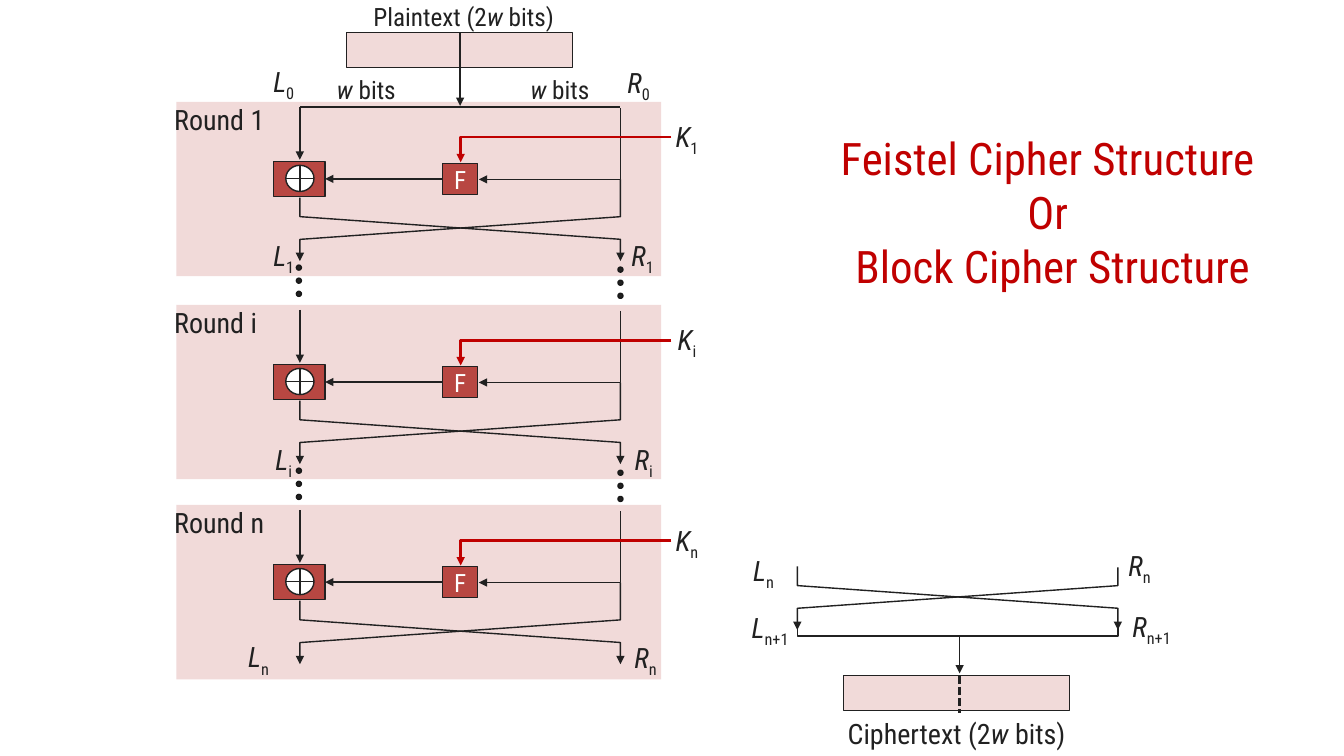
from dataclasses import dataclass
from typing import NamedTuple, Optional

from lxml.etree import SubElement
from pptx import Presentation
from pptx.dml.color import RGBColor
from pptx.enum.dml import MSO_LINE
from pptx.enum.shapes import MSO_CONNECTOR, MSO_SHAPE
from pptx.enum.text import MSO_ANCHOR, MSO_AUTO_SIZE, PP_ALIGN
from pptx.oxml.ns import qn
from pptx.util import Emu, Inches, Pt


@dataclass(frozen=True)
class Theme:
    font: str = "Roboto Condensed"
    ink: str = "212121"
    dot_edge: str = "181818"
    panel: str = "F1DAD9"
    block: str = "B84742"
    key: str = "C00000"
    white: str = "FFFFFF"
    small: int = 18
    body: int = 20
    title: int = 32


class Area(NamedTuple):
    column: float
    row: float
    columns: float
    rows: float


class Point(NamedTuple):
    column: float
    row: float


class Span(NamedTuple):
    text: str
    italic: bool = False
    subscript: bool = False


class Label(NamedTuple):
    wording: list[Span]
    area: Area
    size: int
    align: PP_ALIGN = PP_ALIGN.CENTER


class Round(NamedTuple):
    index: str
    top: float
    left_label: Point
    right_label: Point
    dotted: bool = True


THEME = Theme()
COLUMNS, ROWS = 133.33, 75
LEFT, CENTRE, RIGHT = 29.75, 45.65, 61.55
FINAL_LEFT, FINAL_CENTRE, FINAL_RIGHT = 79.1, 95.2, 110.9
DOT_GAP = 1.3

deck = Presentation()
deck.slide_width, deck.slide_height = Inches(13.33), Inches(7.5)
slide = deck.slides.add_slide(deck.slide_layouts[6])


def across(columns: float) -> Emu:
    return Emu(round(deck.slide_width * columns / COLUMNS))


def down(rows: float) -> Emu:
    return Emu(round(deck.slide_height * rows / ROWS))


def place(area: Area) -> tuple[Emu, Emu, Emu, Emu]:
    return across(area.column), down(area.row), across(area.columns), down(area.rows)


def write(paragraph, text: str, *, size: int, colour: str = THEME.ink,
          italic: bool = False, subscript: bool = False) -> None:
    run = paragraph.add_run()
    run.text = text
    run.font.name = THEME.font
    run.font.size = Pt(size)
    run.font.italic = italic
    run.font.color.rgb = RGBColor.from_string(colour)
    if subscript:
        run.font._element.set("baseline", "-25000")


def draw_label(label: Label) -> None:
    frame = slide.shapes.add_textbox(*place(label.area)).text_frame
    frame.word_wrap = True
    frame.auto_size = MSO_AUTO_SIZE.SHAPE_TO_FIT_TEXT
    paragraph = frame.paragraphs[0]
    paragraph.alignment = label.align
    for span in label.wording:
        write(paragraph, span.text, size=label.size,
              italic=span.italic, subscript=span.subscript)


def draw_symbol(letter: str, index: str, area: Area) -> None:
    draw_label(Label([Span(letter, italic=True), Span(index, subscript=True)],
                     area, THEME.body))


def draw_shape(kind: MSO_SHAPE, area: Area, fill: str,
               edge: Optional[str] = THEME.ink):
    shape = slide.shapes.add_shape(kind, *place(area))
    shape.shadow.inherit = False
    shape.fill.solid()
    shape.fill.fore_color.rgb = RGBColor.from_string(fill)
    if edge:
        shape.line.color.rgb = RGBColor.from_string(edge)
        shape.line.width = Pt(1)
    else:
        shape.line.fill.background()
    return shape


def style_line(drawn, colour: str, width: float, arrow: bool) -> None:
    drawn.line.color.rgb = RGBColor.from_string(colour)
    drawn.line.width = Pt(width)
    if arrow:
        SubElement(drawn._element.spPr.find(qn("a:ln")), qn("a:tailEnd"), type="triangle")


def draw_line(start: Point, end: Point, arrow: bool = True, width: float = 1):
    line = slide.shapes.add_connector(
        MSO_CONNECTOR.STRAIGHT, across(start.column), down(start.row),
        across(end.column), down(end.row))
    style_line(line, THEME.ink, width, arrow)
    SubElement(line._element.spPr, qn("a:effectLst"))
    return line


def draw_bent(points: list[Point], colour: str = THEME.ink,
              width: float = 1, arrow: bool = True) -> None:
    corners = [(across(point.column), down(point.row)) for point in points]
    builder = slide.shapes.build_freeform(*corners[0], scale=1.0)
    builder.add_line_segments(corners[1:], close=False)
    bent = builder.convert_to_shape()
    bent.shadow.inherit = False
    bent.fill.background()
    style_line(bent, colour, width, arrow)


def draw_swap(left: float, right: float, left_start: float,
              right_start: float, bend: float) -> None:
    for start, near, far in ((right_start, right, left), (left_start, left, right)):
        draw_bent([Point(near, start), Point(near, bend),
                   Point(far, bend + 2.25), Point(far, bend + 4.4)])


def draw_round(item: Round) -> None:
    top = item.top
    draw_shape(MSO_SHAPE.RECTANGLE, Area(17.5, top, 48.1, 17.3), THEME.panel, None)
    draw_label(Label([Span(f"Round {item.index}")], Area(16.3, top - 0.4, 12.2, 4.4),
                     THEME.body, PP_ALIGN.LEFT))
    draw_bent([Point(RIGHT, top + 0.6), Point(RIGHT, top + 7.7), Point(47.5, top + 7.7)])
    draw_line(Point(LEFT, top + 0.5), Point(LEFT, top + 5.75))
    draw_shape(MSO_SHAPE.RECTANGLE, Area(LEFT - 2.6, top + 5.9, 5.1, 3.5), THEME.block)
    draw_shape(MSO_SHAPE.FLOWCHART_OR, Area(LEFT - 1.4, top + 6.3, 2.8, 2.6), THEME.white)
    function = draw_shape(MSO_SHAPE.RECTANGLE, Area(43.9, top + 6.1, 3.5, 3.1), THEME.block)
    function.text_frame.vertical_anchor = MSO_ANCHOR.MIDDLE
    letter = function.text_frame.paragraphs[0]
    letter.alignment = PP_ALIGN.CENTER
    write(letter, "F", size=THEME.small, colour=THEME.white)
    draw_line(Point(43.9, top + 7.65), Point(32.25, top + 7.65))
    draw_swap(LEFT, RIGHT, top + 9.5, top + 7.7, top + 11.4)
    draw_symbol("K", item.index, Area(65.6, top + 1.3, 5.1, 4.4))
    draw_bent([Point(66.6, top + 3.5), Point(45.7, top + 3.5), Point(45.7, top + 6)],
              THEME.key, 2)
    draw_symbol("L", item.index, Area(*item.left_label, 4.5, 4.4))
    draw_symbol("R", item.index, Area(*item.right_label, 4.5, 4.4))
    if item.dotted:
        for column, first in ((61.3, top + 16.4), (29.4, top + 16.2)):
            for step in range(3):
                draw_shape(MSO_SHAPE.OVAL, Area(column, first + step * DOT_GAP, 0.5, 0.5),
                           THEME.ink, THEME.dot_edge)


def draw_plaintext() -> None:
    draw_shape(MSO_SHAPE.RECTANGLE, Area(34.4, 3.2, 22.4, 3.5), THEME.panel)
    draw_line(Point(CENTRE, 3.3), Point(CENTRE, 10.5))
    for side in (LEFT, RIGHT):
        draw_line(Point(CENTRE, 10.6), Point(side, 10.6), arrow=False)
    bits = [Span("w", italic=True), Span(" bits")]
    draw_label(Label([Span("Plaintext (2"), bits[0], Span(" bits)")],
                     Area(32.3, -0.4, 27.4, 4), THEME.small))
    for column in (51.4, 32.2):
        draw_label(Label(bits, Area(column, 6.9, 8.3, 7.1), THEME.small))
    draw_symbol("R", "0", Area(61.1, 6, 4.5, 6.6))
    draw_symbol("L", "0", Area(25.9, 5.9, 4.5, 6.6))


def draw_ciphertext() -> None:
    draw_symbol("R", "n", Area(110.8, 53.9, 4.5, 6.6))
    draw_symbol("L", "n", Area(73.5, 54.4, 4.5, 4.4))
    draw_symbol("R", "n+1", Area(110.8, 60, 6.9, 4.4))
    draw_symbol("L", "n+1", Area(73.1, 60.1, 6.6, 4.4))
    draw_swap(FINAL_LEFT, FINAL_RIGHT, 56.2, 56.3, 58.1)
    draw_bent([Point(FINAL_LEFT, 62.2), Point(FINAL_LEFT, 63.1),
               Point(FINAL_RIGHT, 63.1), Point(FINAL_RIGHT, 62.3)], arrow=False)
    draw_line(Point(FINAL_CENTRE, 63.2), Point(FINAL_CENTRE, 66.8))
    draw_shape(MSO_SHAPE.RECTANGLE, Area(83.7, 67, 22.4, 3.5), THEME.panel)
    draw_label(Label([Span("Ciphertext (2"), Span("w", italic=True), Span(" bits)")],
                     Area(81.4, 70.6, 27, 4.4), THEME.body))
    divider = draw_line(Point(FINAL_CENTRE, 67), Point(FINAL_CENTRE, 70.7), False, 2)
    divider.line.dash_style = MSO_LINE.SQUARE_DOT


def draw_title() -> None:
    frame = slide.shapes.add_textbox(*place(Area(77.1, 12.5, 54.7, 18.2))).text_frame
    frame.word_wrap = True
    first, last = frame.paragraphs[0], frame.add_paragraph()
    first.alignment = last.alignment = PP_ALIGN.CENTER
    write(first, "Feistel Cipher Structure ", size=THEME.title, colour=THEME.key)
    first.add_line_break()
    write(first, "Or ", size=THEME.title, colour=THEME.key)
    write(last, "Block Cipher Structure", size=THEME.title, colour=THEME.key)


for cipher_round in (
    Round("1", 10.1, Point(25.9, 23.2), Point(61.5, 23.2)),
    Round("i", 30.25, Point(25.9, 43.4), Point(61.6, 43.4)),
    Round("n", 50.1, Point(23.4, 63), Point(61.8, 63.1), dotted=False),
):
    draw_round(cipher_round)
draw_plaintext()
draw_ciphertext()
draw_title()
deck.save("out.pptx")
